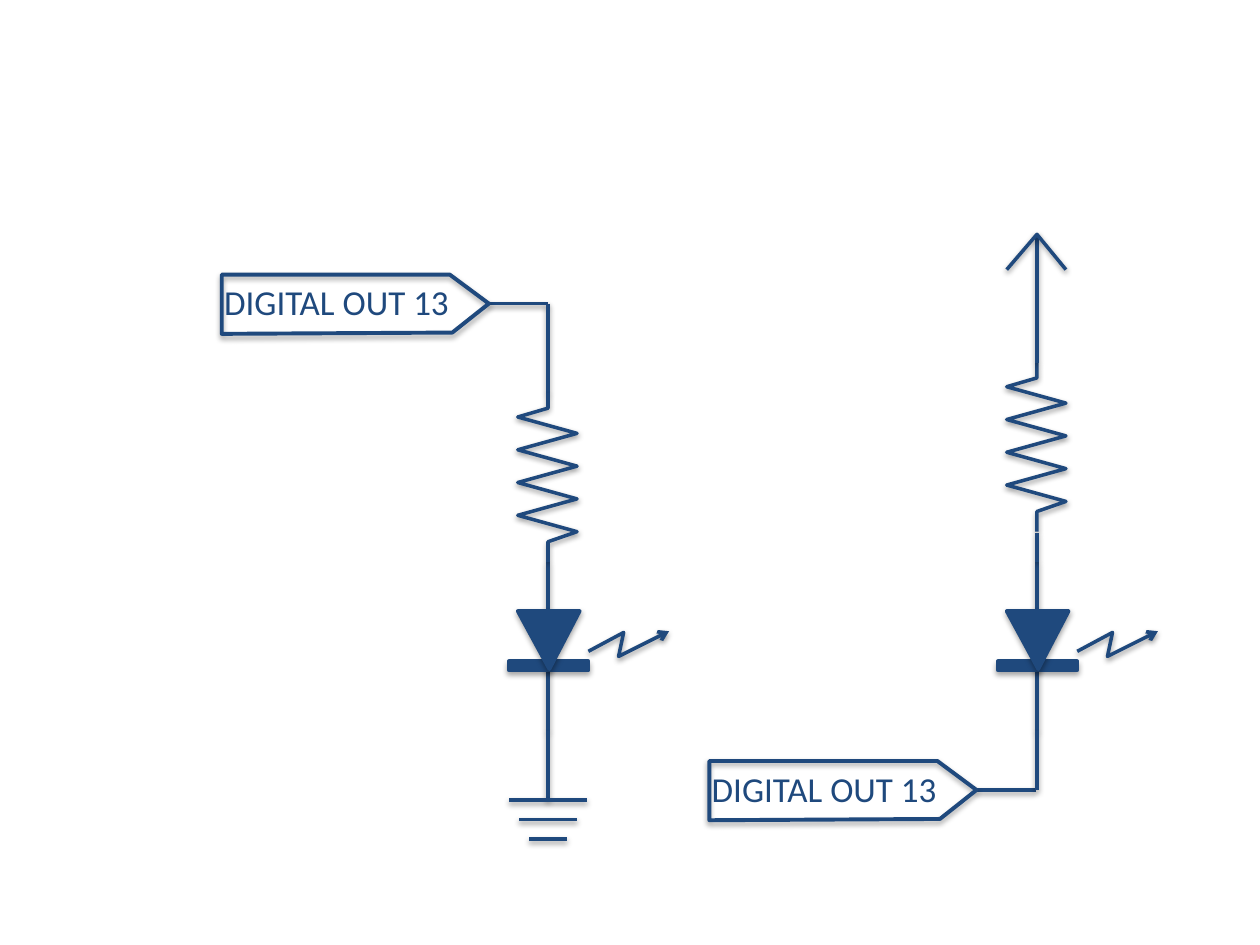
from lxml import etree
from pptx import Presentation
from pptx import util as u
from pptx.dml.color import RGBColor
from pptx.enum import shapes, text
from pptx.oxml.ns import qn

NAVY = "1F497D"


def color(hex_string):
    return RGBColor.from_string(hex_string)


def add_shadow(sp, distance, opacity):
    effects = etree.SubElement(sp._element.spPr, qn("a:effectLst"))
    shadow = etree.SubElement(effects, qn("a:outerShdw"), blurRad="40000",
                              dist=str(distance), dir="5400000", rotWithShape="0")
    black = etree.SubElement(shadow, qn("a:srgbClr"), val="000000")
    etree.SubElement(black, qn("a:alpha"), val=str(opacity * 1000))


def set_line(sp, width):
    sp.line.color.rgb = color(NAVY)
    sp.line.width = u.Pt(width)


def wire(group, x1, y1, x2, y2, width=2):
    line = group.shapes.add_connector(shapes.MSO_CONNECTOR.STRAIGHT,
                                      *map(u.Inches, (x1, y1, x2, y2)))
    set_line(line, width)
    add_shadow(line, 20000, 38)


def outline(group, x, y, points, closed=False, filled=False):
    """Draw a path whose points are offsets from (x, y)."""
    pts = [(u.Inches(x + dx), u.Inches(y + dy)) for dx, dy in points]
    builder = group.shapes.build_freeform(*pts[0])
    builder.add_line_segments(pts[1:], close=closed)
    sp = builder.convert_to_shape()
    sp.shadow.inherit = False
    sp._element.spPr.remove(sp._element.spPr.find(qn("a:effectLst")))
    if filled:
        sp.fill.solid()
        sp.fill.fore_color.rgb = color(NAVY)
    else:
        sp.fill.background()
    set_line(sp, 2.25 if closed else 2)
    add_shadow(sp, 23000 if closed else 20000, 35 if closed else 38)
    return sp


def led(group, x, y):
    """LED on the axis x, with its leads starting at y."""
    wire(group, x, y, x, y + 1.34, 2.25)
    # Cathode bar
    outline(group, x - 0.31, y + 0.79,
            [(0, 0), (0.63, 0), (0.63, 0.07), (0, 0.07)], closed=True, filled=True)
    # Light ray
    ray = outline(group, x + 0.32, y + 0.55,
                  [(0, 0.16), (0.28, 0.01), (0.24, 0.2), (0.64, 0)])
    etree.SubElement(ray.line._get_or_add_ln(), qn("a:tailEnd"), type="arrow")
    # Anode triangle
    outline(group, x - 0.24, y + 0.39,
            [(0, 0), (0.49, 0), (0.25, 0.46)], closed=True, filled=True)


def pin_label(group, x, y):
    """Pin flag with its corner at (x, y) and a lead from its tip."""
    wire(group, x + 2.59, y + 0.23, x + 2.12, y + 0.23)
    outline(group, x, y, [(0, 0.47), (0, 0), (1.81, 0), (2.12, 0.23), (1.83, 0.46)],
            closed=True)
    box = group.shapes.add_textbox(u.Inches(x - 0.08), u.Inches(y),
                                   u.Inches(2.02), u.Inches(0.44))
    tf = box.text_frame
    for name, value in {"word_wrap": False,
                        "auto_size": text.MSO_AUTO_SIZE.SHAPE_TO_FIT_TEXT}.items():
        setattr(tf, name, value)
    r = tf.paragraphs[0].add_run()
    r.text = "DIGITAL OUT 13"
    for name, value in {"size": u.Pt(20), "name": "Calibri"}.items():
        setattr(r.font, name, value)
    r.font.color.rgb = color(NAVY)


def resistor(group, x, y):
    """Zigzag of eight turns on the axis x, from y down."""
    turns = [(0.23 if i % 2 else -0.24, 0.19 + 0.13 * i) for i in range(8)]
    outline(group, x, y, [(0, 0), (0, 0.12), *turns, (0, 1.18), (0, 1.34)])


def ground(group, x, y):
    wire(group, x, y, x, y + 0.55)
    for i, half in enumerate((0.31, 0.23, 0.15)):
        bar_y = y + 0.55 + 0.155 * i
        wire(group, x - half, bar_y, x + half, bar_y)


def supply(group, x, y):
    wire(group, x, y, x, y + 1.02)
    outline(group, x, y, [(-0.24, 0.28), (0, 0), (0.23, 0.28)])


def sourcing_circuit(s, x):
    """Pin feeds the LED, which returns to ground."""
    group = s.shapes.add_group_shape()
    led(group, x, 4.46)
    pin_label(group, x - 2.59, 2.18)
    wire(group, x, 2.41, x, 3.12)
    resistor(group, x, 3.12)
    ground(group, x, 5.8)


def sinking_circuit(s, x):
    """Supply feeds the LED, which returns to the pin."""
    group = s.shapes.add_group_shape()
    led(group, x, 4.46)
    pin_label(group, x - 2.6, 6.04)
    wire(group, x, 5.8, x, 6.27)
    resistor(group, x, 2.88)
    wire(group, x, 4.23, x, 4.46)
    supply(group, x, 1.86)


def main():
    prs = Presentation()
    prs.slide_width, prs.slide_height = u.Inches(10), u.Inches(7.5)
    s = prs.slides.add_slide(prs.slide_layouts[6])
    sourcing_circuit(s, 4.35)
    sinking_circuit(s, 8.23)
    prs.save("out.pptx")


if __name__ == "__main__":
    main()
